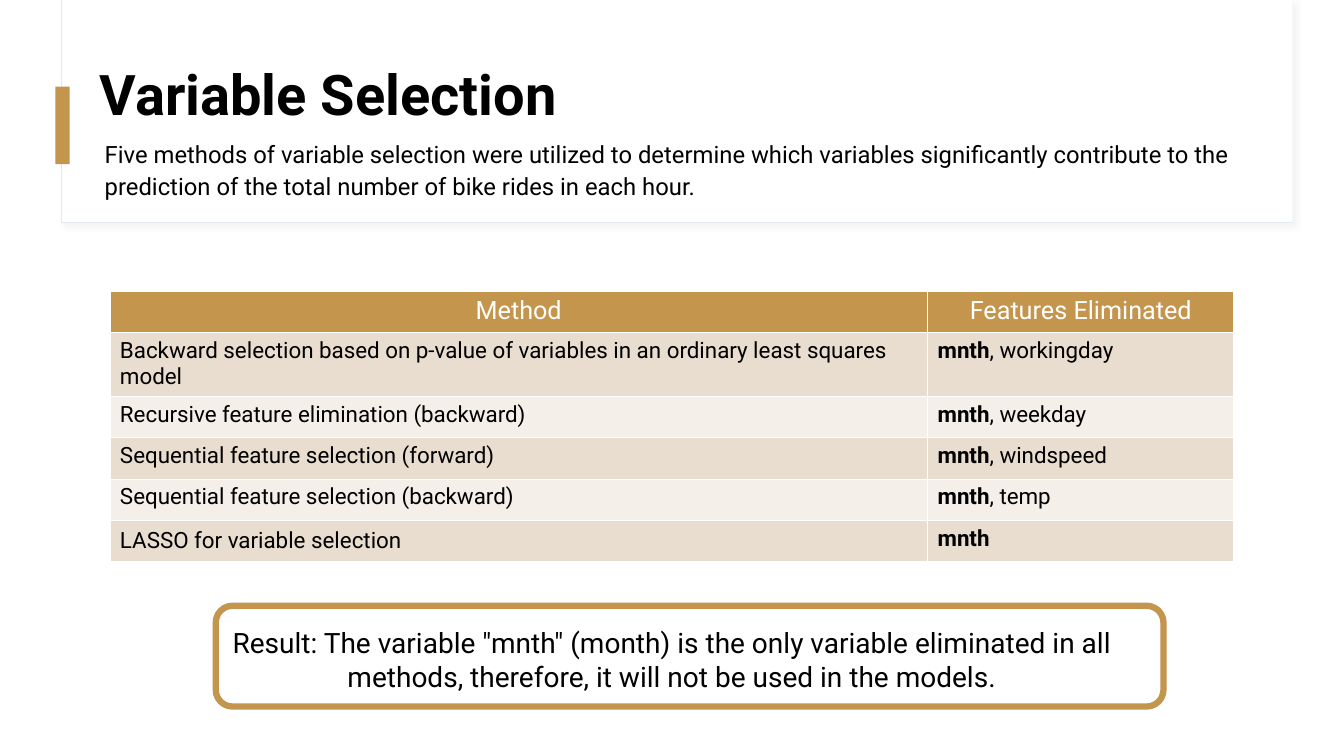
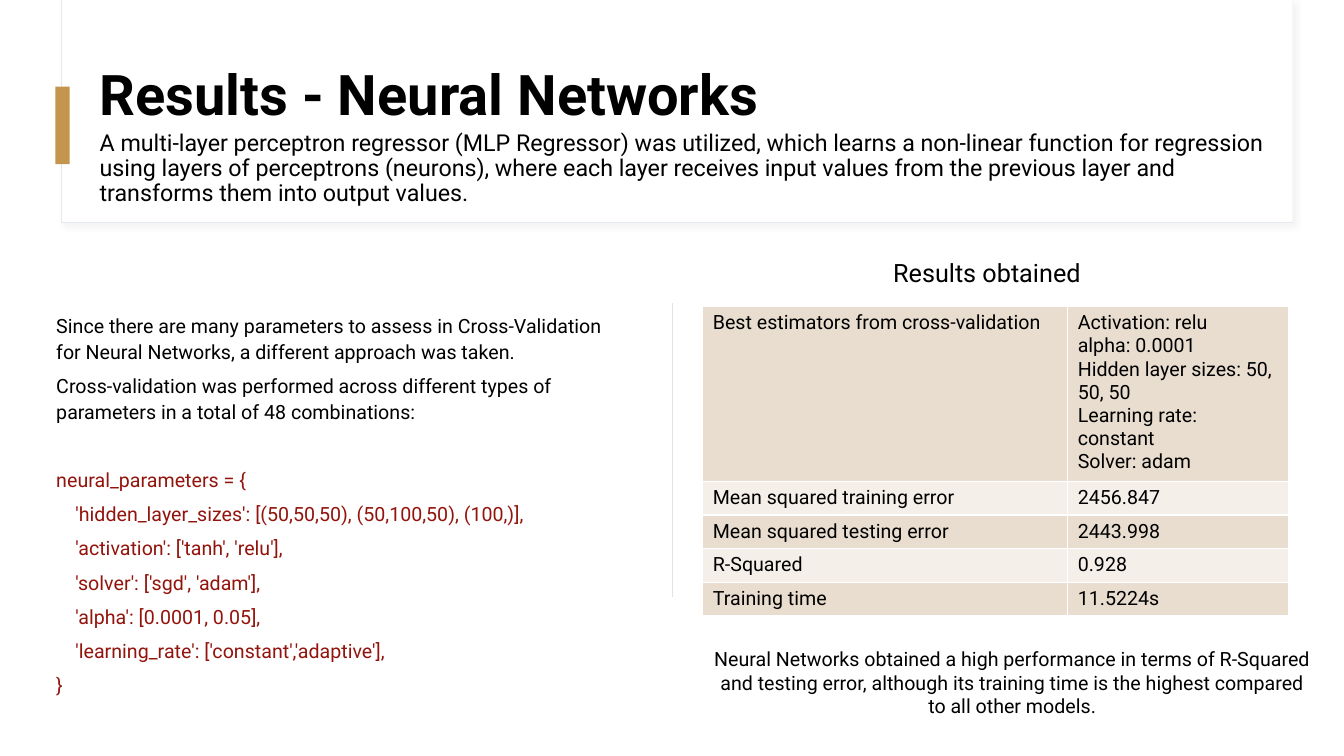
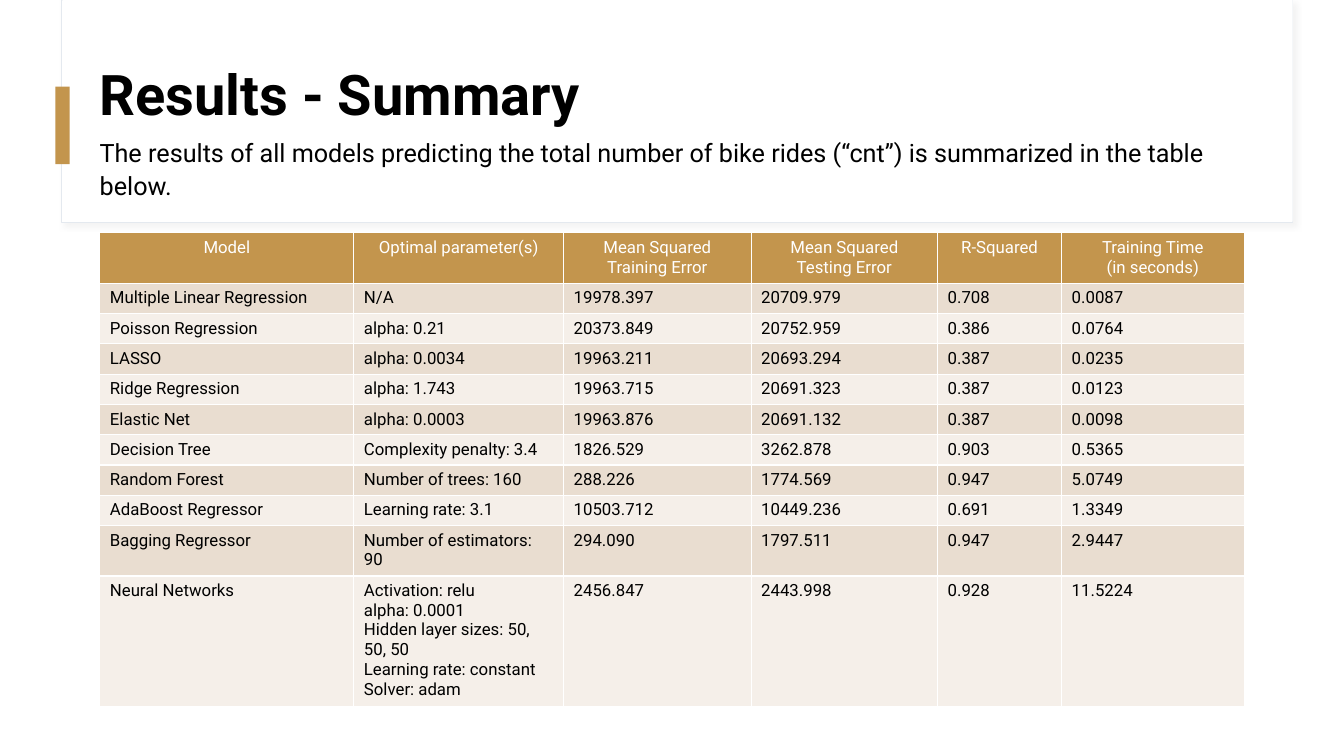
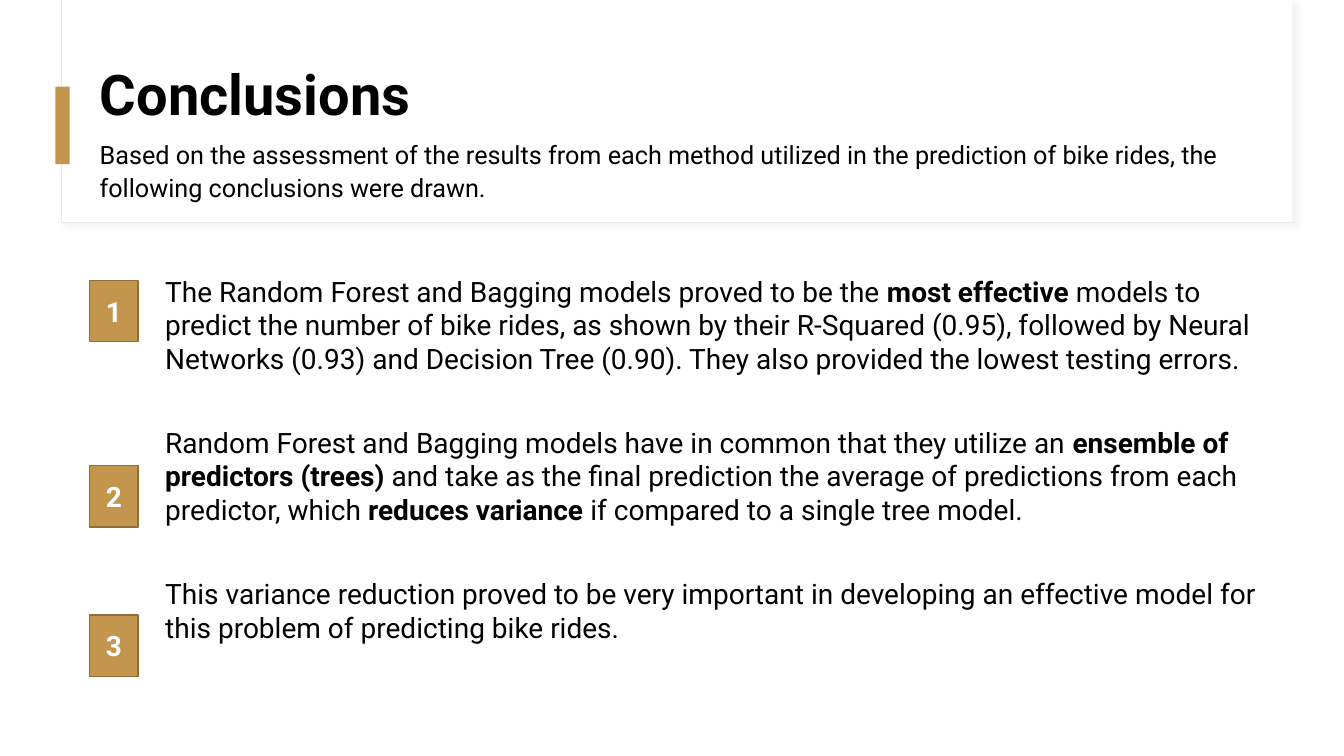
from lxml import etree
from pptx import Presentation
from pptx import util as u
from pptx.dml.color import RGBColor
from pptx.enum import shapes, text
from pptx.oxml import ns

PX = 9144
FONT = "Roboto"
BLACK = RGBColor(0x00, 0x00, 0x00)
WHITE = RGBColor(0xFF, 0xFF, 0xFF)
GOLD = RGBColor(0xC3, 0x95, 0x4D)
BRONZE = RGBColor(0x90, 0x6E, 0x39)
SAND = RGBColor(0xE9, 0xDD, 0xD0)
CREAM = RGBColor(0xF5, 0xEF, 0xE9)
FRAME = RGBColor(0xE4, 0xE9, 0xEF)
RULE = RGBColor(0xE3, 0xE3, 0xE3)
CODE = RGBColor(0x92, 0x14, 0x0C)
CENTER = text.PP_ALIGN.CENTER
MIDDLE = text.MSO_ANCHOR.MIDDLE
RECT = shapes.MSO_SHAPE.RECTANGLE
ROUNDED = shapes.MSO_SHAPE.ROUNDED_RECTANGLE

BODY = {"line_spacing": 1.1, "space_after": u.Pt(6)}
SUBTITLE = {"anchor": MIDDLE, "para": BODY}
NETWORK = "Activation: relu\nalpha: 0.0001\nHidden layer sizes: 50, 50, 50\nLearning rate: constant\nSolver: adam"

METHODS = [
    ("Method", "Features Eliminated"),
    ("Backward selection based on p-value of variables in an ordinary least squares model", "*mnth*, workingday"),
    ("Recursive feature elimination (backward)", "*mnth*, weekday"),
    ("Sequential feature selection (forward)", "*mnth*, windspeed"),
    ("Sequential feature selection (backward)", "*mnth*, temp"),
    ("LASSO for variable selection", "*mnth*"),
]
NETWORK_RESULTS = [
    ("Best estimators from cross-validation", NETWORK),
    ("Mean squared training error", "2456.847"),
    ("Mean squared testing error", "2443.998"),
    ("R-Squared", "0.928"),
    ("Training time", "11.5224s"),
]
SUMMARY = [
    ("Model", "Optimal parameter(s)", "Mean Squared Training Error", "Mean Squared Testing Error",
     "R-Squared", "Training Time\n(in seconds)"),
    ("Multiple Linear Regression", "N/A", "19978.397", "20709.979", "0.708", "0.0087"),
    ("Poisson Regression", "alpha: 0.21", "20373.849", "20752.959", "0.386", "0.0764"),
    ("LASSO", "alpha: 0.0034", "19963.211", "20693.294", "0.387", "0.0235"),
    ("Ridge Regression", "alpha: 1.743", "19963.715", "20691.323", "0.387", "0.0123"),
    ("Elastic Net", "alpha: 0.0003", "19963.876", "20691.132", "0.387", "0.0098"),
    ("Decision Tree", "Complexity penalty: 3.4", "1826.529", "3262.878", "0.903", "0.5365"),
    ("Random Forest", "Number of trees: 160", "288.226", "1774.569", "0.947", "5.0749"),
    ("AdaBoost Regressor", "Learning rate: 3.1", "10503.712", "10449.236", "0.691", "1.3349"),
    ("Bagging Regressor", "Number of estimators: 90", "294.090", "1797.511", "0.947", "2.9447"),
    ("Neural Networks", NETWORK, "2456.847", "2443.998", "0.928", "11.5224"),
]
APPROACH = [
    "Since there are many parameters to assess in Cross-Validation for Neural Networks, "
    "a different approach was taken.",
    "Cross-validation was performed across different types of parameters in a total of 48 combinations:",
]
PARAMETERS = [
    "neural_parameters = {",
    "'hidden_layer_sizes': [(50,50,50), (50,100,50), (100,)],",
    "'activation': ['tanh', 'relu'],",
    "'solver': ['sgd', 'adam'],",
    "'alpha': [0.0001, 0.05],",
    "'learning_rate': ['constant','adaptive'],",
    "}",
]
CONCLUSIONS = [
    "The Random Forest and Bagging models proved to be the *most effective *models to predict the number "
    "of bike rides, as shown by their R-Squared (0.95), followed by Neural Networks (0.93) and "
    "Decision Tree (0.90). They also provided the lowest testing errors.",
    "Random Forest and Bagging models have in common that they utilize an *ensemble of predictors (trees) *"
    "and take as the final prediction the average of predictions from each predictor, which "
    "*reduces variance *if compared to a single tree model.",
    "This variance reduction proved to be very important in developing an effective model for this "
    "problem of predicting bike rides.",
]


def px(*lengths):
    """Turn px lengths into EMU."""
    return [u.Emu(n * PX) for n in lengths]


def apply(obj, values):
    """Set each attribute of obj from a dict."""
    for name, value in values.items():
        setattr(obj, name, value)


def write(tf, lines, size, color=BLACK, bold=False, para=None):
    """Fill a text frame with paragraphs; asterisks enclose bold words."""
    for i, line in enumerate(lines):
        p = tf.paragraphs[0] if i == 0 else tf.add_paragraph()
        apply(p, para or {})
        for j, part in enumerate(line.split("*")):
            if part:
                r = p.add_run()
                r.text = part
                apply(r.font, {"name": FONT, "size": u.Pt(size), "bold": bold or j % 2 == 1})
                r.font.color.rgb = color


def textbox(parent, box, lines, size, anchor=text.MSO_ANCHOR.TOP, **style):
    """Add a wrapping text box and return its text frame."""
    tf = parent.add_textbox(*px(*box)).text_frame
    apply(tf, {"word_wrap": True, "vertical_anchor": anchor})
    write(tf, lines, size, **style)
    return tf


def block(parent, box, fill=None, line=None, width=1, kind=RECT):
    """Add a flat preset shape with optional fill and outline."""
    sp = parent.add_shape(kind, *px(*box))
    sp.shadow.inherit = False
    if fill is None:
        sp.fill.background()
    else:
        sp.fill.solid()
        sp.fill.fore_color.rgb = fill
    if line is None:
        sp.line.fill.background()
    else:
        sp.line.color.rgb = line
        sp.line.width = u.Pt(width)
    return sp


def band(layout, parent, box):
    """Build the framed title band and move it into the layout."""
    x, y, w, h = box
    frame = block(parent, (x, y, w, h), WHITE, FRAME, 0.75)
    effects = frame.element.spPr.find(ns.qn("a:effectLst"))
    shadow = etree.SubElement(effects, ns.qn("a:outerShdw"), blurRad=str(u.Pt(4)), dist=str(u.Pt(3)),
                              dir="2700000", algn="tl", rotWithShape="0")
    color = etree.SubElement(shadow, ns.qn("a:srgbClr"), val="D9D9D9")
    etree.SubElement(color, ns.qn("a:alpha"), val="30000")
    panel = block(parent, (x + 1, y, w - 1, h - 1), WHITE)
    accent = block(parent, (x - 6, y + 86, 14, 77), GOLD)
    for ph in list(layout.placeholders)[1:]:
        ph.element.getparent().remove(ph.element)
    for i, sp in enumerate((frame, panel, accent)):
        layout.shapes.element.insert(2 + i, sp.element)


def heading(s, box, title):
    """Place and format the title placeholder."""
    sp = s.shapes.title
    apply(sp, dict(zip(("left", "top", "width", "height"), px(*box))))
    tf = sp.text_frame
    apply(tf, {"word_wrap": True, "vertical_anchor": MIDDLE, "auto_size": text.MSO_AUTO_SIZE.NONE})
    write(tf, [title], 40, bold=True, para={"alignment": text.PP_ALIGN.LEFT, "line_spacing": 0.9})


def border(cell):
    """Draw thin white borders on all sides of a cell."""
    tcPr = cell._tc.get_or_add_tcPr()
    for i, side in enumerate(("lnL", "lnR", "lnT", "lnB")):
        ln = etree.Element(ns.qn("a:" + side), w=str(u.Pt(1)))
        fill = etree.SubElement(ln, ns.qn("a:solidFill"))
        etree.SubElement(fill, ns.qn("a:srgbClr"), val=str(WHITE))
        tcPr.insert(i, ln)


def grid(s, origin, widths, row_height, rows, size, header_size=None):
    """Add a banded table, with a gold header row if header_size is given."""
    tbl = s.shapes.add_table(len(rows), len(widths),
                             *px(*origin, sum(widths), row_height * len(rows))).table
    tbl.first_row = header_size is not None
    for col, width in zip(tbl.columns, widths):
        col.width = u.Emu(width * PX)
    for i, row in enumerate(rows):
        header = i == 0 and header_size is not None
        band_row = i - 1 if header_size else i
        for j, value in enumerate(row):
            cell = tbl.cell(i, j)
            cell.fill.solid()
            cell.fill.fore_color.rgb = GOLD if header else (SAND, CREAM)[band_row % 2]
            border(cell)
            write(cell.text_frame, value.split("\n"), header_size if header else size,
                  WHITE if header else BLACK, para={"alignment": CENTER} if header else None)
    return tbl


def callout(s, box, line):
    """Add a rounded outline with a centred sentence, as one group."""
    x, y, w, h = box
    group = s.shapes.add_group_shape().shapes
    block(group, box, line=GOLD, width=4.5, kind=ROUNDED)
    textbox(group, (x - 2, y + 15, w - 31, h - 23), [line], 20, para={"alignment": CENTER})


def parameter_column(s, box):
    """Add the approach text, the parameter listing and the divider."""
    x, y, w, h = box
    tf = textbox(s.shapes, box, APPROACH + PARAMETERS, 14, para=BODY)
    tf.paragraphs[len(APPROACH) - 1].space_after = u.Pt(30)
    code = tf.paragraphs[len(APPROACH):]
    for p in code:
        p.runs[0].font.color.rgb = CODE
    for p in code[1:-1]:
        p._p.get_or_add_pPr().set("marL", str(19 * PX))
    cx = x + w + 44
    rule = s.shapes.add_connector(shapes.MSO_CONNECTOR.STRAIGHT, *px(cx, y - 3, cx, y + 288))
    rule.line.color.rgb = RULE
    rule.line.width = u.Pt(0.5)
    etree.SubElement(rule.element.spPr, ns.qn("a:effectLst"))


def results_column(s, box):
    """Add the caption, the result table and the remark below it."""
    x, y, w, h = box
    textbox(s.shapes, (x + 179, y, 535, 41), ["Results obtained"], 18, para=BODY)
    grid(s, (x, y + 57), (362, 219), 22, NETWORK_RESULTS, 14)
    textbox(s.shapes, (x, y + h - 81, w, 81),
            ["Neural Networks obtained a high performance in terms of R-Squared and testing error, "
             "although its training time is the highest compared to all other models."],
            14, para={"alignment": CENTER})


def conclusion_list(s, box):
    """Add the conclusions with their numbered badges."""
    x, y, w, h = box
    textbox(s.shapes, (x + 65, y, w - 65, h), CONCLUSIONS, 20, para={"space_after": u.Pt(36)})
    for n, dy in enumerate((11, 195, 343), 1):
        tf = block(s.shapes, (x, y + dy, 48, 61), GOLD, BRONZE).text_frame
        tf.vertical_anchor = MIDDLE
        write(tf, [str(n)], 20, WHITE, True, {"alignment": CENTER})


def selection_slide(s):
    """Fill the variable selection slide."""
    heading(s, (89, 32, 1112, 129), "Variable Selection")
    textbox(s.shapes, (94, 123, 1190, 88),
            ["Five methods of variable selection were utilized to determine which variables significantly "
             "contribute to the prediction of the total number of bike rides in each hour."], 17, **SUBTITLE)
    tbl = grid(s, (109, 289), (811, 304), 41, METHODS, 16, 18)
    apply(tbl.cell(5, 0).text_frame.paragraphs[0], BODY)
    callout(s, (214, 601, 940, 100),
            'Result: The variable "mnth" (month) is the only variable eliminated in all methods, '
            "therefore, it will not be used in the models.")


def network_slide(s):
    """Fill the neural network results slide."""
    heading(s, (89, 32, 1112, 129), "Results - Neural Networks")
    textbox(s.shapes, (89, 124, 1190, 88),
            ["A multi-layer perceptron regressor (MLP Regressor) was utilized, which learns a non-linear "
             "function for regression using layers of perceptrons (neurons), where each layer receives input "
             "values from the previous layer and transforms them into output values."],
            16.6, anchor=MIDDLE, para={**BODY, "line_spacing": 0.9})
    parameter_column(s, (46, 304, 577, 440))
    results_column(s, (697, 247, 614, 471))


def summary_slide(s):
    """Fill the results summary slide."""
    heading(s, (89, 32, 1112, 129), "Results - Summary")
    textbox(s.shapes, (89, 122, 1190, 88),
            ["The results of all models predicting the total number of bike rides (“cnt”) is summarized "
             "in the table below."], 18, **SUBTITLE)
    grid(s, (99, 231), (252, 208, 186, 185, 123, 181), 20, SUMMARY, 12, 12)


def conclusions_slide(s):
    """Fill the conclusions slide."""
    heading(s, (89, 32, 1112, 129), "Conclusions")
    textbox(s.shapes, (89, 124, 1190, 88),
            ["Based on the assessment of the results from each method utilized in the prediction of bike "
             "rides, the following conclusions were drawn."], 18, **SUBTITLE)
    conclusion_list(s, (89, 267, 1190, 440))


def main():
    """Build and save the presentation."""
    prs = Presentation()
    prs.slide_width, prs.slide_height = px(1333, 750)
    layout = prs.slide_layouts[5]
    builders = (selection_slide, network_slide, summary_slide, conclusions_slide)
    slides = [prs.slides.add_slide(layout) for _ in builders]
    band(layout, slides[0].shapes, (61, 0, 1221, 221))
    for build, s in zip(builders, slides):
        build(s)
    prs.save("out.pptx")


if __name__ == "__main__":
    main()
